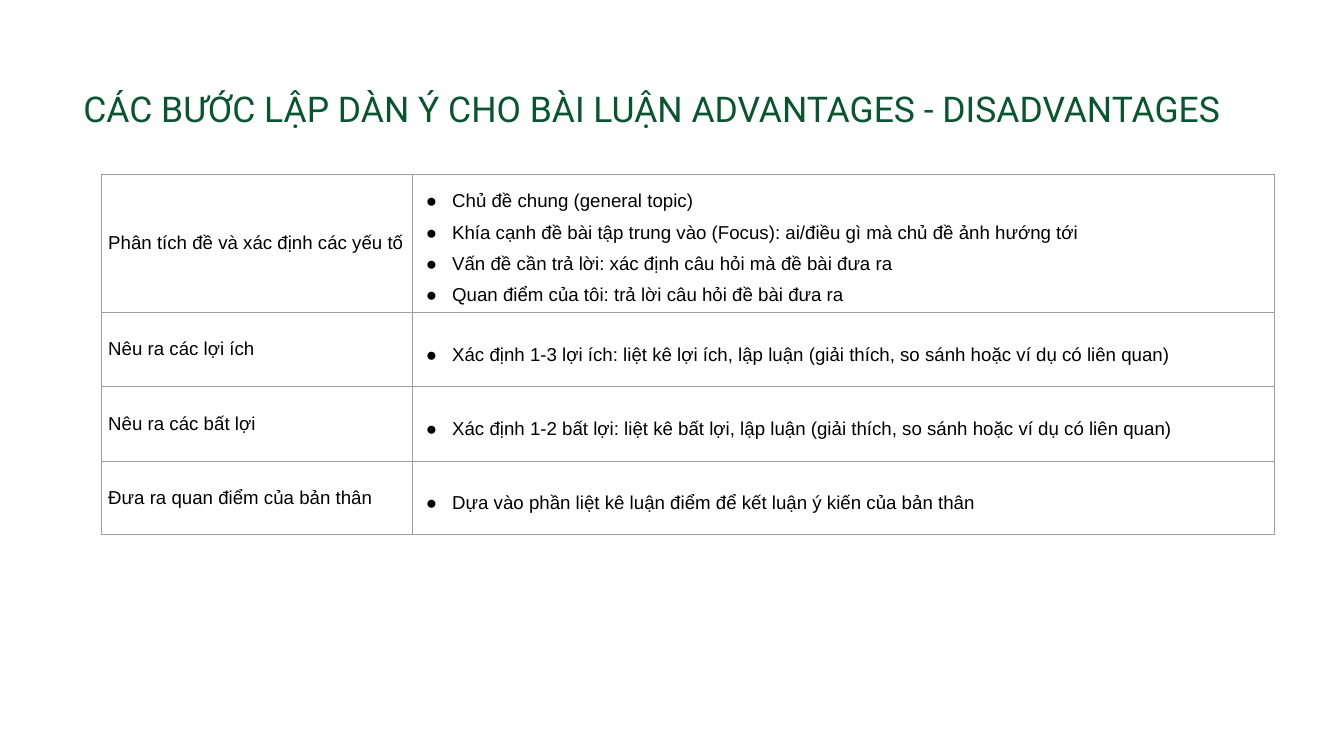
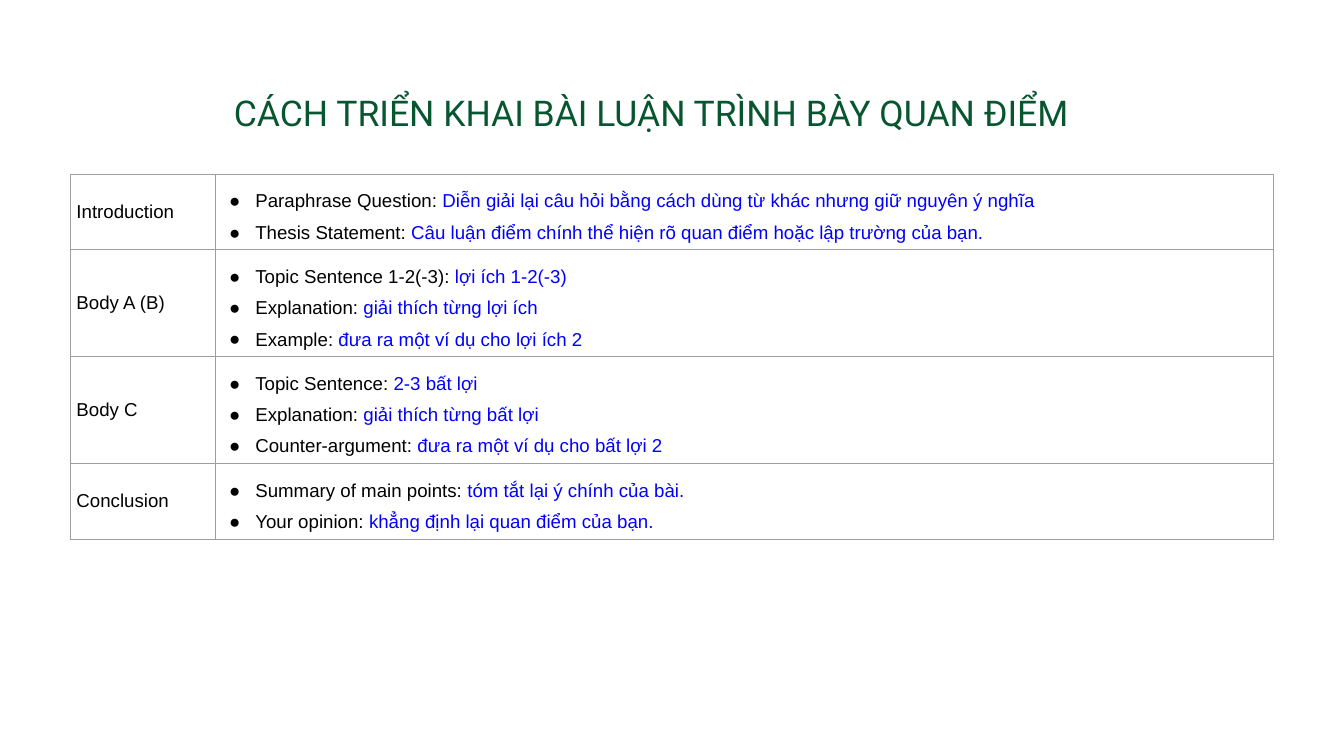
import pptx
import pptx.dml.color
import pptx.enum.text
import pptx.oxml
import pptx.oxml.ns
import pptx.util

Cm = pptx.util.Cm
Pt = pptx.util.Pt
ANCHOR = pptx.enum.text.MSO_ANCHOR

# Content: each row is a label and its points; a point is a list of (text, colour)
STEPS = [
    ("Phân tích đề và xác định các yếu tố", [
        [("Chủ đề chung (general topic)", "ink")],
        [("Khía cạnh đề bài tập trung vào (Focus): ai/điều gì mà chủ đề ảnh hướng tới", "ink")],
        [("Vấn đề cần trả lời: xác định câu hỏi mà đề bài đưa ra", "ink")],
        [("Quan điểm của tôi: trả lời câu hỏi đề bài đưa ra", "ink")],
    ]),
    ("Nêu ra các lợi ích", [
        [("Xác định 1-3 lợi ích: liệt kê lợi ích, lập luận "
          "(giải thích, so sánh hoặc ví dụ có liên quan)", "ink")],
    ]),
    ("Nêu ra các bất lợi", [
        [("Xác định 1-2 bất lợi: liệt kê bất lợi, lập luận "
          "(giải thích, so sánh hoặc ví dụ có liên quan)", "ink")],
    ]),
    ("Đưa ra quan điểm của bản thân", [
        [("Dựa vào phần liệt kê luận điểm để kết luận ý kiến của bản thân", "ink")],
    ]),
]
ESSAY = [
    ("Introduction", [
        [("Paraphrase Question: ", "ink"),
         ("Diễn giải lại câu hỏi bằng cách dùng từ khác nhưng giữ nguyên ý nghĩa", "note")],
        [("Thesis Statement: ", "ink"),
         ("Câu luận điểm chính thể hiện rõ quan điểm hoặc lập trường của bạn.", "note")],
    ]),
    ("Body A (B)", [
        [("Topic Sentence 1-2(-3): ", "ink"), ("lợi ích 1-2(-3)", "note")],
        [("Explanation: ", "ink"), ("giải thích từng lợi ích", "note")],
        [("Example: ", "ink"), ("đưa ra một ví dụ cho lợi ích 2", "note")],
    ]),
    ("Body C", [
        [("Topic Sentence: ", "ink"), ("2-3 bất lợi", "note")],
        [("Explanation: ", "ink"), ("giải thích từng bất lợi", "note")],
        [("Counter-argument: ", "ink"), ("đưa ra một ví dụ cho bất lợi 2", "note")],
    ]),
    ("Conclusion", [
        [("Summary of main points: ", "ink"), ("tóm tắt lại ý chính của bài.", "note")],
        [("Your opinion: ", "ink"), ("khẳng định lại quan điểm của bạn.", "note")],
    ]),
]

# Lengths in centimetres; title_at is left, top, width
PAGES = [
    dict(title="CÁC BƯỚC LẬP DÀN Ý CHO BÀI LUẬN ADVANTAGES - DISADVANTAGES",
         title_at=(2.9, 3.05, 45), table_left=3.84, columns=(11.73, 32.59), rows=STEPS),
    dict(title="CÁCH TRIỂN KHAI BÀI LUẬN TRÌNH BÀY QUAN ĐIỂM",
         title_at=(8.59, 3.18, 33.6), table_left=2.64, columns=(5.49, 40), rows=ESSAY),
]

# Shared style
COLOURS = {"title": "085630", "ink": "000000", "note": "0000FF",
           "border": "9E9E9E", "paper": "FFFFFF"}
TITLE_HEIGHT = 2.26
TABLE_TOP = 6.58
ROW_HEIGHTS = (2.59, 2.82, 2.82, 2.77)
INSET = Cm(0.25)
BULLET_LEFT, BULLET_HANG = Cm(1.27), Cm(-0.99)


def rgb(name):
    return pptx.dml.color.RGBColor.from_string(COLOURS[name])


def element(xml):
    return pptx.oxml.parse_xml(xml.replace(" ", f" {pptx.oxml.ns.nsdecls('a')} ", 1))


def add_bullet(para):
    props = para._p.get_or_add_pPr()
    props.set("marL", str(BULLET_LEFT))
    props.set("indent", str(BULLET_HANG))
    props.append(element(f'<a:buClr ><a:srgbClr val="{COLOURS["ink"]}"/></a:buClr>'))
    props.append(element('<a:buFont typeface="Arial"/>'))
    props.append(element('<a:buChar char="●"/>'))


def write(frame, lines, font="Arial", size=20, bullets=False, spacing=None):
    """Fill a text frame; each line is a list of (text, colour) spans."""
    for number, line in enumerate(lines):
        para = frame.add_paragraph() if number else frame.paragraphs[0]
        para.alignment = pptx.enum.text.PP_ALIGN.LEFT
        if bullets:
            add_bullet(para)
        if spacing:
            para.line_spacing = spacing
        for text, colour in line:
            span = para.add_run()
            span.text = text
            span.font.name = font
            span.font.size = Pt(size)
            span.font.color.rgb = rgb(colour)


def style_cell(cell, anchor):
    cell.vertical_anchor = anchor
    cell.margin_left = cell.margin_right = cell.margin_top = cell.margin_bottom = INSET
    cell.fill.background()
    props = cell._tc.get_or_add_tcPr()
    for position, side in enumerate("LRTB"):
        props.insert(position, element(
            f'<a:ln{side} w="{Pt(0.75)}"><a:solidFill>'
            f'<a:srgbClr val="{COLOURS["border"]}"/></a:solidFill></a:ln{side}>'))


def add_title(page, text, left, top, width):
    box = page.shapes.title
    box.left, box.top, box.width, box.height = map(Cm, (left, top, width, TITLE_HEIGHT))
    frame = box.text_frame
    frame.word_wrap = True
    frame.auto_size = pptx.enum.text.MSO_AUTO_SIZE.NONE
    frame.vertical_anchor = ANCHOR.TOP
    frame.margin_left = frame.margin_right = INSET
    frame.margin_top = frame.margin_bottom = INSET
    write(frame, [[(text, "title")]], font="Roboto", size=38)


def add_outline(page, left, columns, rows):
    table = page.shapes.add_table(
        len(rows), len(columns), Cm(left), Cm(TABLE_TOP),
        Cm(sum(columns)), Cm(sum(ROW_HEIGHTS))).table
    table.first_row = table.horz_banding = False
    for column, width in zip(table.columns, columns):
        column.width = Cm(width)
    for row, height, (label, points) in zip(table.rows, ROW_HEIGHTS, rows):
        row.height = Cm(height)
        label_cell, points_cell = row.cells
        style_cell(label_cell, ANCHOR.MIDDLE)
        write(label_cell.text_frame, [[(label, "ink")]])
        # A single point is centred beside its label; a list starts at the top
        style_cell(points_cell, ANCHOR.MIDDLE if len(points) == 1 else ANCHOR.TOP)
        write(points_cell.text_frame, points, bullets=True, spacing=1.5)


def main():
    deck = pptx.Presentation()
    deck.slide_width, deck.slide_height = Cm(50.8), Cm(28.58)
    title_only = deck.slide_layouts[5]
    background = deck.slide_master.background.fill
    background.solid()
    background.fore_color.rgb = rgb("paper")
    for content in PAGES:
        page = deck.slides.add_slide(title_only)
        add_title(page, content["title"], *content["title_at"])
        add_outline(page, content["table_left"], content["columns"], content["rows"])
    deck.save("out.pptx")


if __name__ == "__main__":
    main()
